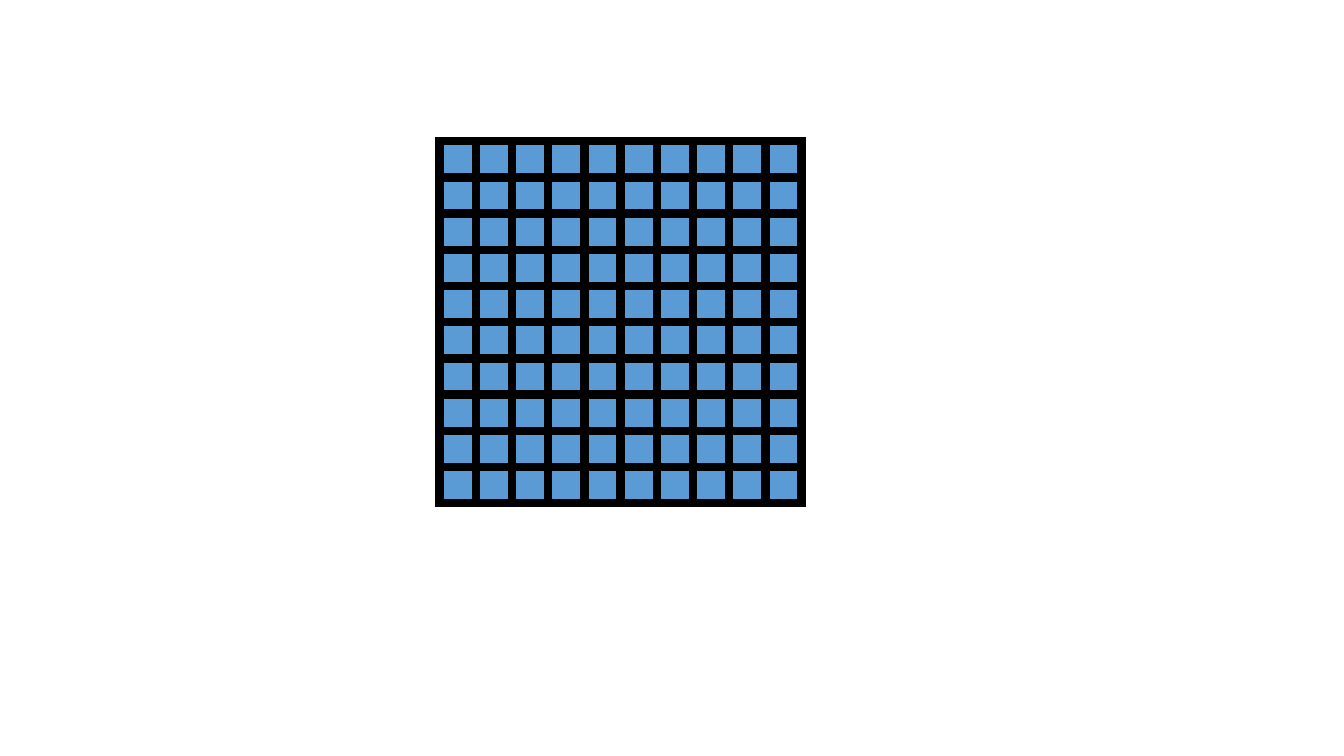
from dataclasses import dataclass
from itertools import product

from lxml.etree import SubElement as Sub
from pptx import Presentation as Deck
from pptx.dml.color import RGBColor as RGB
from pptx.enum.shapes import MSO_SHAPE as Kind
from pptx.oxml.ns import qn
from pptx.util import Cm, Pt


@dataclass(frozen=True)
class Theme:
    fill: RGB = RGB.from_string("5B9BD5")
    edge: RGB = RGB.from_string("000000")
    width: float = 6


class Board:
    def __init__(self, slide, theme):
        self.slide = slide
        self.theme = theme

    def square(self, left, top, side):
        shape = self.slide.shapes.add_shape(
            Kind.RECTANGLE, Cm(left), Cm(top), Cm(side), Cm(side)
        )
        shape.shadow.inherit = False
        shape.fill.solid()
        shape.fill.fore_color.rgb = self.theme.fill
        shape.line.color.rgb = self.theme.edge
        shape.line.width = Pt(self.theme.width)
        edge = shape.element.spPr.find(qn("a:ln"))
        Sub(edge, qn("a:miter"), lim="800000")

    def grid(self, left, top, side, count):
        step = side / count
        self.square(left, top, side)
        for row, col in product(range(count), repeat=2):
            self.square(left + col * step, top + row * step, step)


def main():
    deck = Deck()
    deck.slide_width = Cm(33.87)
    deck.slide_height = Cm(19.05)
    slide = deck.slides.add_slide(deck.slide_layouts[6])
    board = Board(slide, Theme())
    board.grid(left=11.08, top=3.56, side=9.12, count=10)
    deck.save("out.pptx")


if __name__ == "__main__":
    main()
